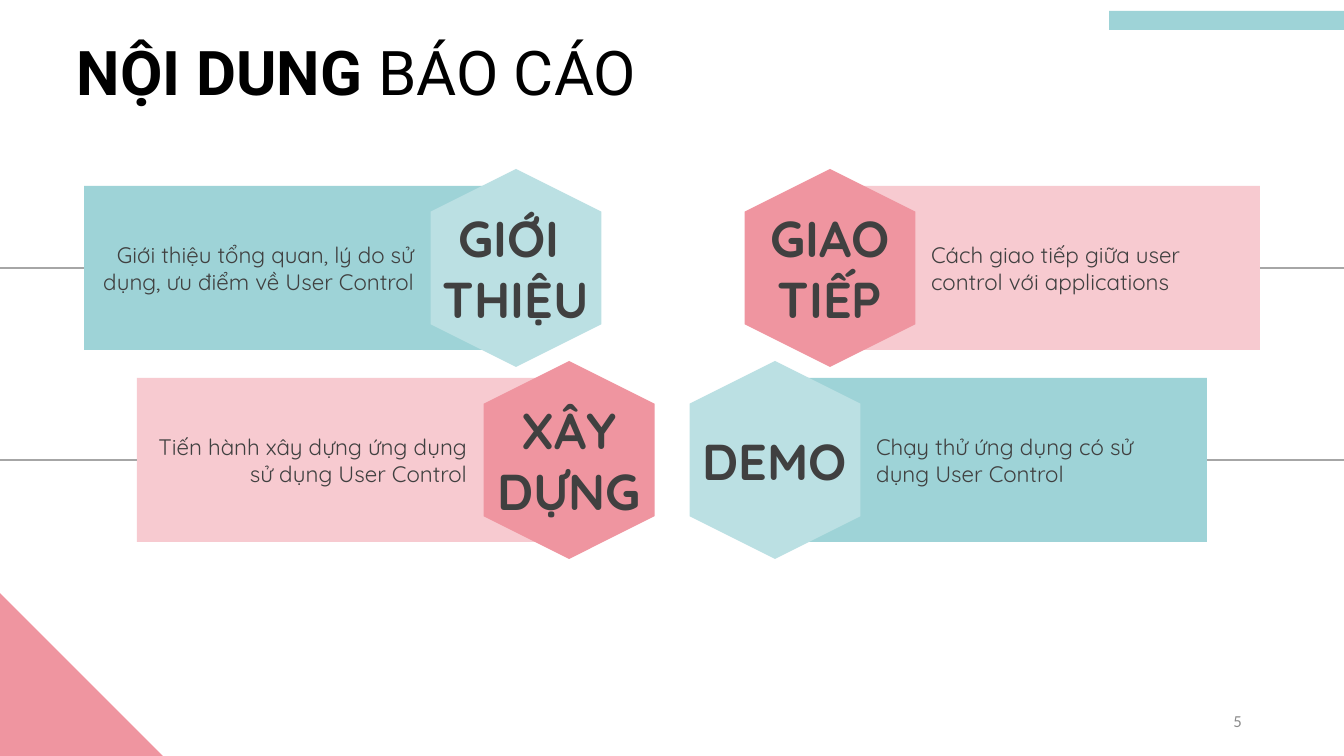
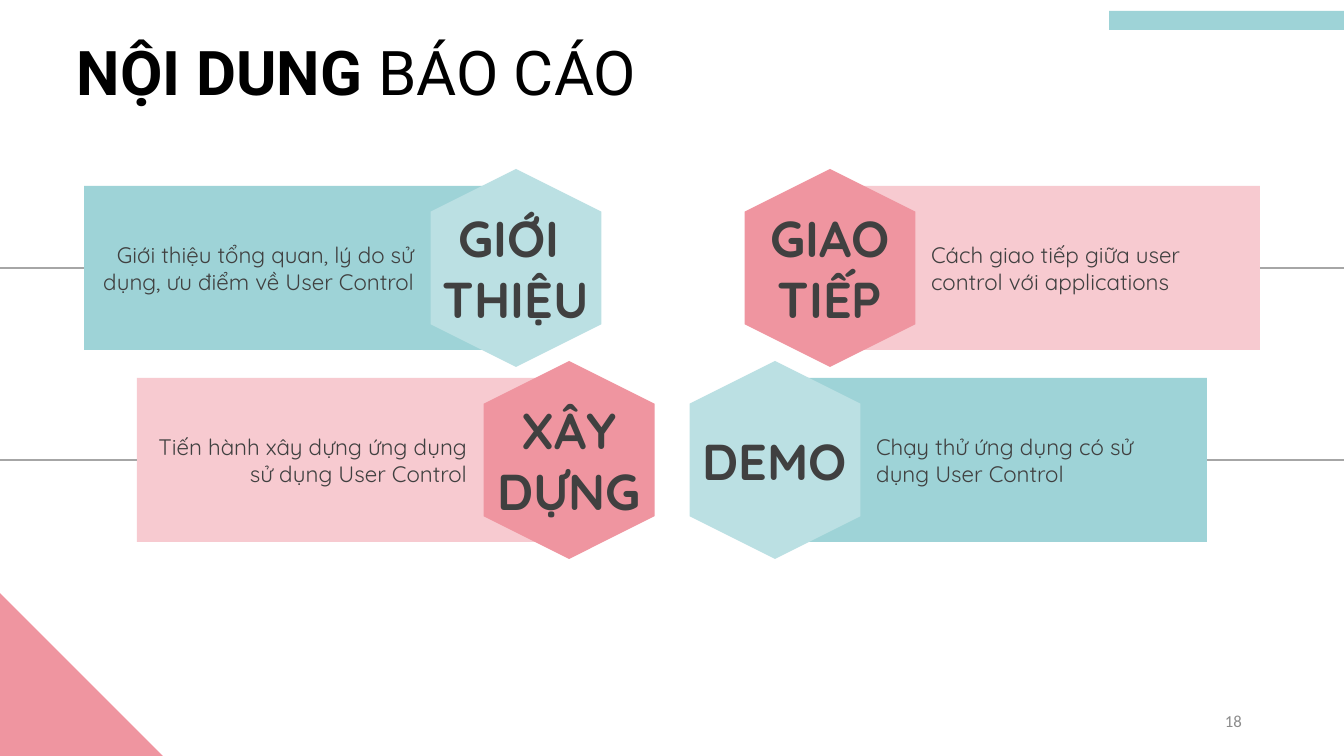
from pptx import Presentation
from pptx.dml.color import RGBColor
from pptx.enum.shapes import MSO_CONNECTOR, MSO_SHAPE
from pptx.enum.text import MSO_ANCHOR, PP_ALIGN
from pptx.oxml import parse_xml
from pptx.util import Pt

STRAIGHT = MSO_CONNECTOR.STRAIGHT
RECTANGLE, HEXAGON = MSO_SHAPE.RECTANGLE, MSO_SHAPE.HEXAGON
RIGHT_TRIANGLE = MSO_SHAPE.RIGHT_TRIANGLE
LEFT, CENTER, RIGHT = PP_ALIGN.LEFT, PP_ALIGN.CENTER, PP_ALIGN.RIGHT
TOP, MIDDLE = MSO_ANCHOR.TOP, MSO_ANCHOR.MIDDLE

# Content
PAGE_NUMBERS = [5, 18]
TITLE = [("NỘI DUNG ", True), ("BÁO CÁO", False)]
# side, row, tone, bar left, hexagon centre, hexagon label, caption
TOPICS = [
    ("left", 0, "teal", 84, 516, ["GIỚI ", "THIỆU"],
     "Giới thiệu tổng quan, lý do sử dụng, ưu điểm về User Control"),
    ("right", 0, "pink", 828, 830, ["GIAO", "TIẾP"],
     "Cách giao tiếp giữa user control với applications"),
    ("left", 1, "pink", 137, 569, ["XÂY", "DỰNG"],
     "Tiến hành xây dựng ứng dụng sử dụng User Control"),
    ("right", 1, "teal", 775, 775, ["DEMO"],
     "Chạy thử ứng dụng có sử dụng User Control"),
]

# Style
COLORS = {"teal": "9ED3D7", "pale teal": "BBE0E3", "pink": "EF95A0",
          "pale pink": "F7CAD0", "line": "A6A6A6", "black": "000000",
          "text": "404040", "page": "8C8C8C"}
TONES = {"teal": ("teal", "pale teal"), "pink": ("pale pink", "pink")}
FORMATS = {
    "title": {"name": "Roboto", "size": Pt(44), "color": "black"},
    "label": {"name": "Quicksand", "size": Pt(36), "color": "text"},
    "caption": {"name": "Quicksand", "size": Pt(16), "color": "text"},
    "page": {"name": "Calibri", "size": Pt(12), "color": "page"},
}

# Lengths in px
EMU_PER_PX = 9071
SLIDE_WIDTH, SLIDE_HEIGHT = 1344, 756
ROW_CENTERS = [268, 460]
BAR_WIDTH, BAR_HEIGHT = 432, 164
HEXAGON_LENGTH, HEXAGON_BREADTH = 198, 171
LABEL_WIDTH, LABEL_HEIGHT = 152, 122
CAPTION_WIDTH, CAPTION_HEIGHT = 313, 54
CAPTION_GAP = {"left": 102, "right": 101}
TRIANGLE = 163


def emu(*lengths):
    return [length * EMU_PER_PX for length in lengths]


def centered(center_x, center_y, width, height):
    return emu(center_x - width / 2, center_y - height / 2, width, height)


def add_filled(shapes, kind, box, color):
    shape = shapes.add_shape(kind, *[int(value) for value in box])
    shape.shadow.inherit = False
    shape.fill.solid()
    shape.fill.fore_color.rgb = RGBColor.from_string(COLORS[color])
    shape.line.fill.background()
    return shape


def add_text(shapes, box, lines, style, align, anchor=MIDDLE, insets=(0, 0)):
    """Each line is a list of (text, bold) runs."""
    frame = shapes.add_textbox(*[int(value) for value in box]).text_frame
    horizontal, vertical = emu(*insets)
    settings = {"word_wrap": True, "vertical_anchor": anchor,
                "margin_left": horizontal, "margin_right": horizontal,
                "margin_top": vertical, "margin_bottom": vertical}
    for name, value in settings.items():
        setattr(frame, name, value)
    for index, runs in enumerate(lines):
        paragraph = frame.add_paragraph() if index else frame.paragraphs[0]
        paragraph.alignment = align
        for text, bold in runs:
            run = paragraph.add_run()
            run.text = text
            for name, value in {**FORMATS[style], "bold": bold}.items():
                if name == "color":
                    run.font.color.rgb = RGBColor.from_string(COLORS[value])
                else:
                    setattr(run.font, name, value)


def add_edge_line(slide, bar, side, center_y):
    edge_x = 0 if side == "left" else SLIDE_WIDTH
    x, y = emu(edge_x, center_y)
    connector = slide.shapes.add_connector(STRAIGHT, x, y, x, y)
    connector.end_connect(bar, 1 if side == "left" else 3)
    connector.line.color.rgb = RGBColor.from_string(COLORS["line"])
    connector.line.width = Pt(1)
    connector._element.spPr.append(parse_xml(
        '<a:effectLst xmlns:a="http://schemas.openxmlformats.org/drawingml/2006/main"/>'))


def add_frame(slide, page_number):
    shapes = slide.shapes
    add_text(shapes, emu(77, 34, 1191, 75), [TITLE], "title", LEFT, TOP)
    add_filled(shapes, RIGHT_TRIANGLE,
               emu(0, SLIDE_HEIGHT - TRIANGLE, TRIANGLE, TRIANGLE), "pink")
    add_filled(shapes, RECTANGLE, emu(1109, 11, 235, 19), "teal")
    add_text(shapes, emu(950, 701, 302, 40), [[(str(page_number), False)]],
             "page", RIGHT, insets=(10, 5))


def add_topic(slide, side, row, tone, bar_left, hexagon_x, label, caption):
    center_y = ROW_CENTERS[row]
    bar_color, hexagon_color = TONES[tone]

    # Bar, hexagon and label
    shapes = slide.shapes.add_group_shape().shapes
    bar = add_filled(shapes, RECTANGLE,
                     emu(bar_left, center_y - BAR_HEIGHT // 2, BAR_WIDTH, BAR_HEIGHT),
                     bar_color)
    hexagon = add_filled(shapes, HEXAGON,
                         centered(hexagon_x, center_y, HEXAGON_LENGTH, HEXAGON_BREADTH),
                         hexagon_color)
    hexagon.rotation = 90
    add_text(shapes, centered(hexagon_x, center_y, LABEL_WIDTH, LABEL_HEIGHT),
             [[(line, True)] for line in label], "label", CENTER)

    # Caption and line to the slide edge
    gap = CAPTION_GAP[side]
    if side == "left":
        caption_left, align = hexagon_x - gap - CAPTION_WIDTH, RIGHT
    else:
        caption_left, align = hexagon_x + gap, LEFT
    add_text(slide.shapes,
             emu(caption_left, center_y - CAPTION_HEIGHT // 2, CAPTION_WIDTH, CAPTION_HEIGHT),
             [[(caption, False)]], "caption", align)
    add_edge_line(slide, bar, side, center_y)


def main():
    presentation = Presentation()
    presentation.slide_width, presentation.slide_height = emu(SLIDE_WIDTH, SLIDE_HEIGHT)
    for page_number in PAGE_NUMBERS:
        slide = presentation.slides.add_slide(presentation.slide_layouts[6])
        add_frame(slide, page_number)
        for topic in TOPICS:
            add_topic(slide, *topic)
    presentation.save("out.pptx")


if __name__ == "__main__":
    main()
